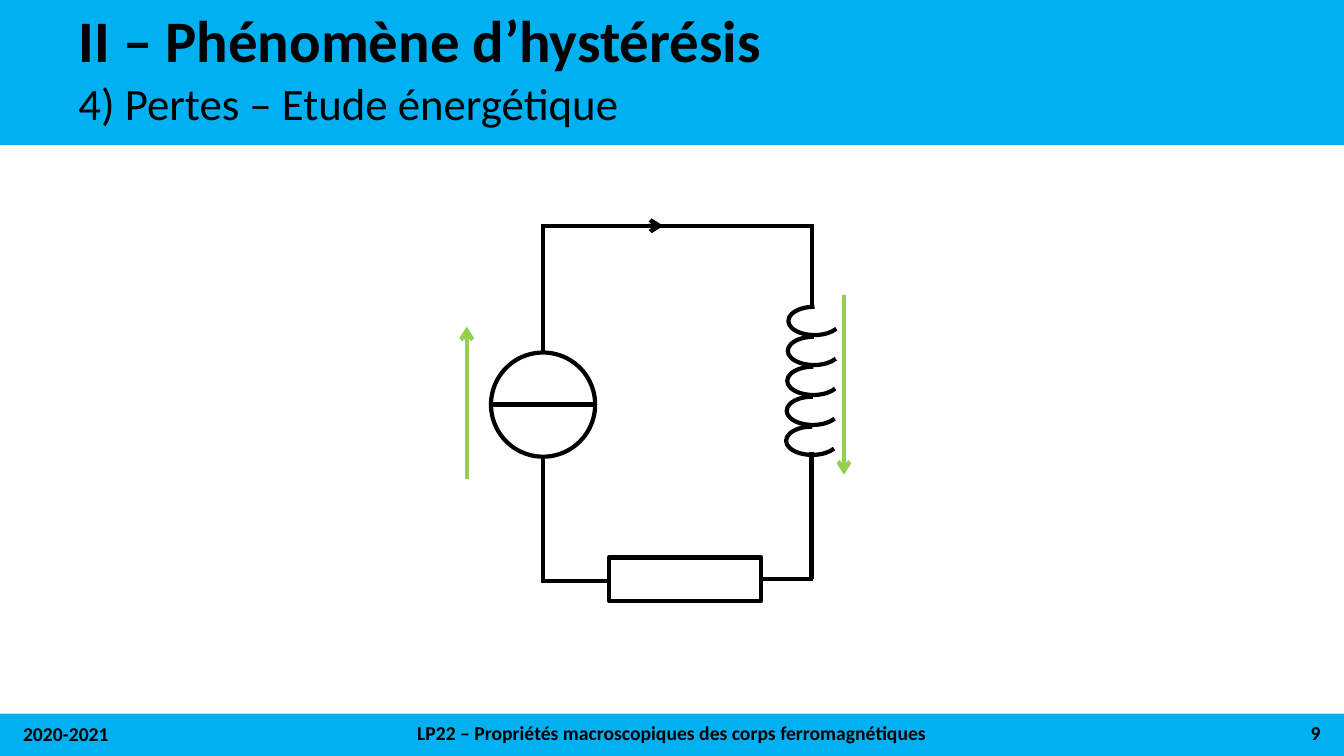
"""Build the slide on the energy losses of hysteresis, with its RL circuit."""
import pptx
import pptx.dml.color
import pptx.enum.shapes
import pptx.enum.text
import pptx.oxml
import pptx.oxml.ns
import pptx.util

Pt = pptx.util.Pt
SHAPE = pptx.enum.shapes.MSO_SHAPE
ALIGN = pptx.enum.text.PP_ALIGN
ANCHOR = pptx.enum.text.MSO_ANCHOR
COLOURS = {"band": "00B0F0", "ink": "000000", "voltage": "92D050"}
STROKE = 3


def rgb(name):
    return pptx.dml.color.RGBColor.from_string(COLOURS[name])


def add_outline(kind, left, top, width, height):
    outline = slide.shapes.add_shape(kind, Pt(left), Pt(top), Pt(width), Pt(height))
    outline.shadow.inherit = False
    outline.fill.background()
    outline.line.color.rgb = rgb("ink")
    outline.line.width = Pt(STROKE)
    return outline


deck = pptx.Presentation()
deck.slide_width, deck.slide_height = Pt(960), Pt(540)
slide = deck.slides.add_slide(deck.slide_layouts[6])

for top, height in [(0, 103.5), (509.8, 30.2)]:
    band = add_outline(SHAPE.RECTANGLE, 0, top, 960, height)
    band.fill.solid()
    band.fill.fore_color.rgb = rgb("band")
    band.line.fill.background()

captions = [
    ("II – Phénomène d’hystérésis", 49, 7.9, 845, 46.8, 42, True, ALIGN.LEFT, ANCHOR.MIDDLE, 0.9),
    ("4) Pertes – Etude énergétique", 49, 57.6, 845, 39.6, 32, False, ALIGN.LEFT, ANCHOR.TOP, 0.8),
    ("2020-2021", 9.4, 509.8, 216, 28.8, 14, True, ALIGN.LEFT, ANCHOR.MIDDLE, 1.0),
    ("LP22 – Propriétés macroscopiques des corps ferromagnétiques",
     225.4, 509, 509, 28.8, 14, True, ALIGN.CENTER, ANCHOR.MIDDLE, 1.0),
    ("9", 734.4, 509, 216, 28.8, 14, True, ALIGN.RIGHT, ANCHOR.MIDDLE, 1.0),
]
for words, left, top, width, height, size, bold, align, anchor, spacing in captions:
    caption = slide.shapes.add_textbox(Pt(left), Pt(top), Pt(width), Pt(height))
    frame = caption.text_frame
    frame.word_wrap = True
    frame.vertical_anchor = anchor
    frame.text = words
    paragraph = frame.paragraphs[0]
    paragraph.alignment = align
    paragraph.line_spacing = spacing
    font = paragraph.runs[0].font
    font.name, font.size, font.bold = "Calibri", Pt(size), bold
    font.color.rgb = rgb("ink")

add_outline(SHAPE.OVAL, 350.7, 251.8, 74.4, 74.4)
add_outline(SHAPE.RECTANGLE, 435, 398.2, 108.7, 31)

for turn in range(5):
    coil = add_outline(SHAPE.ARC, 571.7 - 0.4 * turn, 210.5 + 21.4 * turn, 20.2, 37.4)
    coil.rotation = 270
    coil.adjustments[0] = 109.7 * 0.6
    coil.adjustments[1] = 0

wires = [
    (350.7, 289, 425.1, 289, "ink", False),
    (388, 326.2, 388, 415.5, "ink", False),
    (388, 162.7, 388, 251.8, "ink", False),
    (435.6, 414.8, 386.6, 414.8, "ink", False),
    (581.8, 161.3, 386.6, 161.3, "ink", False),
    (581, 413.3, 545, 413.3, "ink", False),
    (580.2, 161.3, 580.2, 220.3, "ink", False),
    (579.6, 322.6, 579.6, 413.3, "ink", False),
    (333.4, 342, 333.4, 233.3, "voltage", True),
    (468.7, 161.3, 473.8, 161.3, "ink", True),
    (602.8, 210.5, 602.8, 339.1, "voltage", True),
]
for x1, y1, x2, y2, colour, has_arrow in wires:
    wire = slide.shapes.add_connector(
        pptx.enum.shapes.MSO_CONNECTOR.STRAIGHT, Pt(x1), Pt(y1), Pt(x2), Pt(y2))
    wire.line.color.rgb = rgb(colour)
    wire.line.width = Pt(STROKE)
    if has_arrow:
        arrowhead = pptx.oxml.parse_xml(
            f'<a:tailEnd {pptx.oxml.ns.nsdecls("a")} type="arrow"/>')
        wire.line._get_or_add_ln().append(arrowhead)
    wire._element.spPr.append(
        pptx.oxml.parse_xml(f'<a:effectLst {pptx.oxml.ns.nsdecls("a")}/>'))

deck.save("out.pptx")
